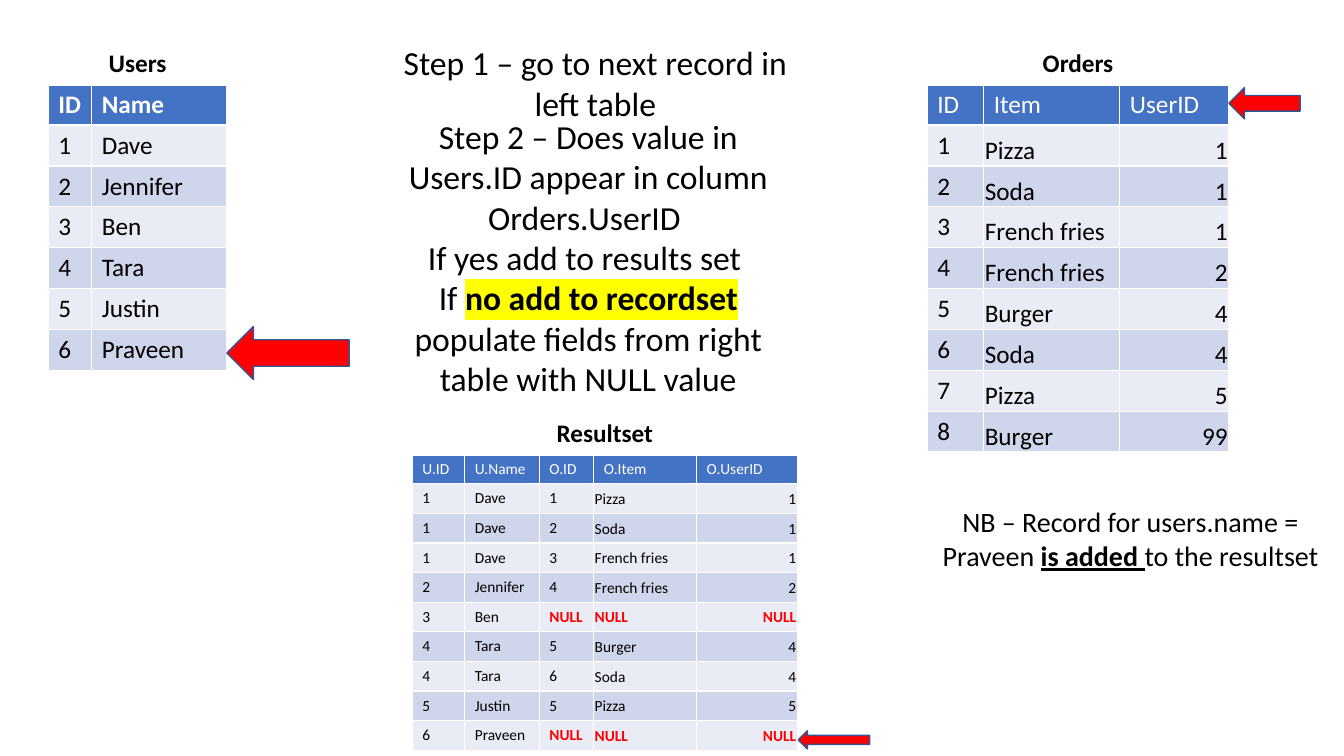
from dataclasses import dataclass

import lxml.etree
import pptx
import pptx.dml.color
import pptx.enum.shapes
import pptx.enum.text
import pptx.oxml.ns
import pptx.slide
import pptx.table
import pptx.text.text
import pptx.util

Align = pptx.enum.text.PP_ALIGN
Anchor = pptx.enum.text.MSO_ANCHOR
SLIDE_WIDTH = pptx.util.Inches(13.333)
SLIDE_HEIGHT = pptx.util.Inches(7.5)


@dataclass(frozen=True)
class Theme:
    font: str = "Calibri"
    ink: str = "000000"
    paper: str = "FFFFFF"
    header: str = "4472C4"
    bands: tuple[str, str] = ("E9EBF5", "CFD5EA")
    alert: str = "FF0000"
    arrow_edge: str = "325491"
    marker: str = "FFFF00"
    step_size: float = 24
    note_size: float = 20
    table_size: float = 18
    result_size: float = 11
    rule: float = 1
    title_rule: float = 3
    tight_inset: float = 0.75


THEME = Theme()


@dataclass(frozen=True)
class Place:
    left: float
    top: float
    width: float
    height: float


@dataclass(frozen=True)
class Column:
    heading: str
    width: float
    tight: bool = False
    align: Align = Align.LEFT


@dataclass(frozen=True)
class Grid:
    title: str
    left: float
    top: float
    columns: tuple[Column, ...]
    records: tuple[tuple[str, ...], ...]
    row_height: float = 5.4
    size: float = THEME.table_size
    bold_headings: bool = False
    anchor: Anchor = Anchor.TOP
    tight_anchor: Anchor = Anchor.BOTTOM


@dataclass(frozen=True)
class Span:
    text: str
    bold: bool = False
    underline: bool = False
    marked: bool = False
    breaks: bool = False


@dataclass(frozen=True)
class Message:
    place: Place
    size: float
    paragraphs: tuple[tuple[Span, ...], ...]


TITLE_HEIGHT = 5.4

USERS = Grid(
    "Users", 3.6, 5.73,
    (Column("ID", 3.23), Column("Name", 10.05)),
    (("1", "Dave"), ("2", "Jennifer"), ("3", "Ben"),
     ("4", "Tara"), ("5", "Justin"), ("6", "Praveen")),
    bold_headings=True,
)
ORDERS = Grid(
    "Orders", 69, 5.73,
    (Column("ID", 4.2), Column("Item", 10.13, True),
     Column("UserID", 8.1, True, Align.RIGHT)),
    (("1", "Pizza", "1"), ("2", "Soda", "1"), ("3", "French fries", "1"),
     ("4", "French fries", "2"), ("5", "Burger", "4"), ("6", "Soda", "4"),
     ("7", "Pizza", "5"), ("8", "Burger", "99")),
)
RESULTSET = Grid(
    "Resultset", 30.68, 54.67,
    (Column("U.ID", 3.9), Column("U.Name", 5.55), Column("O.ID", 4.05),
     Column("O.Item", 7.65, True), Column("O.UserID", 7.5, True, Align.RIGHT)),
    (("1", "Dave", "1", "Pizza", "1"), ("1", "Dave", "2", "Soda", "1"),
     ("1", "Dave", "3", "French fries", "1"), ("2", "Jennifer", "4", "French fries", "2"),
     ("3", "Ben", "NULL", "NULL", "NULL"), ("4", "Tara", "5", "Burger", "4"),
     ("4", "Tara", "6", "Soda", "4"), ("5", "Justin", "5", "Pizza", "5"),
     ("6", "Praveen", "NULL", "NULL", "NULL")),
    row_height=3.92, size=THEME.result_size,
    anchor=Anchor.MIDDLE, tight_anchor=Anchor.MIDDLE,
)
MESSAGES = (
    Message(Place(28.65, 4.93, 31.28, 12.13), THEME.step_size,
            ((Span("Step 1 – go to next record in left table"),),)),
    Message(Place(69, 66.13, 30.23, 10.27), THEME.note_size,
            ((Span("NB – Record for users.name = Praveen "),
              Span("is added ", bold=True, underline=True),
              Span("to the resultset")),)),
    Message(Place(28.13, 14.67, 31.28, 39.07), THEME.step_size,
            ((Span("Step 2 – Does value in Users.ID appear in column"),),
             (Span("Orders.UserID "),),
             (Span("If yes add to results set "),),
             (Span("If "),
              Span("no add to recordset", bold=True, marked=True, breaks=True),
              Span("populate fields from right table with NULL value")))),
)
RECORD_POINTERS = (
    Place(16.88, 43.2, 9.1, 7),
    Place(91.43, 11.6, 5.3, 4.13),
    Place(59.4, 96.67, 5.3, 2.4),
)


def across(percent: float) -> int:
    return round(SLIDE_WIDTH * percent / 100)


def down(percent: float) -> int:
    return round(SLIDE_HEIGHT * percent / 100)


def box(place: Place) -> tuple[int, int, int, int]:
    return across(place.left), down(place.top), across(place.width), down(place.height)


def rgb(colour: str) -> pptx.dml.color.RGBColor:
    return pptx.dml.color.RGBColor.from_string(colour)


def style(run: pptx.text.text._Run, size: float, colour: str, bold: bool) -> None:
    run.font.name = THEME.font
    run.font.size = pptx.util.Pt(size)
    run.font.bold = bold
    run.font.color.rgb = rgb(colour)


def add_colour(parent: lxml.etree._Element, tag: str, colour: str) -> lxml.etree._Element:
    holder = lxml.etree.SubElement(parent, pptx.oxml.ns.qn(tag))
    lxml.etree.SubElement(holder, pptx.oxml.ns.qn("a:srgbClr"), val=colour)
    return holder


def rule_cell(cell: pptx.table._Cell, is_title: bool) -> None:
    properties = cell._tc.get_or_add_tcPr()
    for side in ("L", "R", "T", "B") if is_title else ("L", "R", "B"):
        weight = THEME.title_rule if is_title and side == "B" else THEME.rule
        edge = lxml.etree.SubElement(properties, pptx.oxml.ns.qn(f"a:ln{side}"),
                                     w=str(pptx.util.Pt(weight)))
        add_colour(edge, "a:solidFill", THEME.paper)


def fill_cell(cell: pptx.table._Cell, text: str, fill: str, size: float,
              colour: str, bold: bool, align: Align, anchor: Anchor) -> None:
    rule_cell(cell, fill == THEME.paper)
    cell.fill.solid()
    cell.fill.fore_color.rgb = rgb(fill)
    cell.vertical_anchor = anchor
    cell.text_frame.text = text
    paragraph = cell.text_frame.paragraphs[0]
    paragraph.alignment = align
    for run in paragraph.runs:
        style(run, size, colour, bold)


def draw_grid(slide: pptx.slide.Slide, grid: Grid) -> None:
    heights = [TITLE_HEIGHT] + [grid.row_height] * (len(grid.records) + 1)
    place = Place(grid.left, grid.top, sum(c.width for c in grid.columns), sum(heights))
    table = slide.shapes.add_table(len(heights), len(grid.columns), *box(place)).table
    for row, height in zip(table.rows, heights):
        row.height = down(height)
    table.cell(0, 0).merge(table.cell(0, len(grid.columns) - 1))
    for index, column in enumerate(grid.columns):
        table.columns[index].width = across(column.width)
        fill_cell(table.cell(0, index), "" if index else grid.title, THEME.paper,
                  THEME.table_size, THEME.ink, True, Align.CENTER, Anchor.TOP)
        fill_cell(table.cell(1, index), column.heading, THEME.header, grid.size,
                  THEME.paper, grid.bold_headings, Align.LEFT, grid.anchor)
        for number, record in enumerate(grid.records):
            cell = table.cell(number + 2, index)
            missing = record[index] == "NULL"
            fill_cell(cell, record[index], THEME.bands[number % 2], grid.size,
                      THEME.alert if missing else THEME.ink, missing, column.align,
                      grid.tight_anchor if column.tight else grid.anchor)
            if column.tight:
                inset = pptx.util.Pt(THEME.tight_inset)
                cell.margin_left = cell.margin_right = cell.margin_top = inset
                cell.margin_bottom = 0


def draw_message(slide: pptx.slide.Slide, message: Message) -> None:
    frame = slide.shapes.add_textbox(*box(message.place)).text_frame
    frame.word_wrap = True
    frame.auto_size = pptx.enum.text.MSO_AUTO_SIZE.SHAPE_TO_FIT_TEXT
    frame.text = "\n".join(spans[0].text for spans in message.paragraphs)
    for paragraph, spans in zip(frame.paragraphs, message.paragraphs):
        paragraph.alignment = Align.CENTER
        for index, span in enumerate(spans):
            run = paragraph.add_run() if index else paragraph.runs[0]
            run.text = span.text
            style(run, message.size, THEME.ink, span.bold)
            run.font.underline = span.underline
            if span.marked:
                properties = run.font._element
                highlight = add_colour(properties, "a:highlight", THEME.marker)
                properties.find(pptx.oxml.ns.qn("a:solidFill")).addnext(highlight)
            if span.breaks:
                paragraph.add_line_break()


def draw_pointer(slide: pptx.slide.Slide, place: Place) -> None:
    pointer = slide.shapes.add_shape(pptx.enum.shapes.MSO_SHAPE.LEFT_ARROW, *box(place))
    pointer.shadow.inherit = False
    pointer.fill.solid()
    pointer.fill.fore_color.rgb = rgb(THEME.alert)
    pointer.line.color.rgb = rgb(THEME.arrow_edge)
    pointer.line.width = pptx.util.Pt(THEME.rule)


def main() -> None:
    deck = pptx.Presentation()
    deck.slide_width, deck.slide_height = SLIDE_WIDTH, SLIDE_HEIGHT
    slide = deck.slides.add_slide(deck.slide_layouts[6])
    for grid in (USERS, ORDERS, RESULTSET):
        draw_grid(slide, grid)
    for message in MESSAGES:
        draw_message(slide, message)
    for place in RECORD_POINTERS:
        draw_pointer(slide, place)
    deck.save("out.pptx")


if __name__ == "__main__":
    main()
